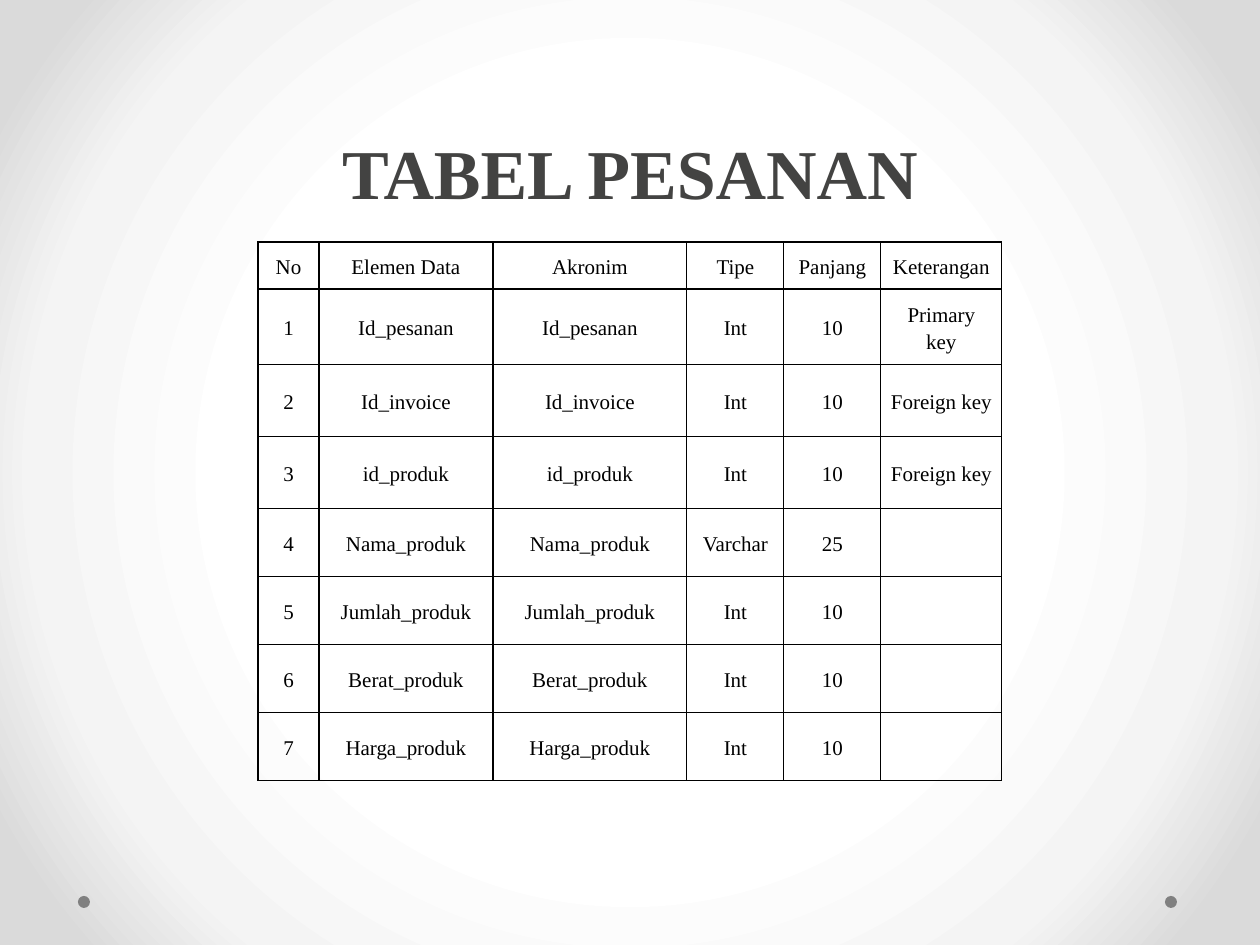
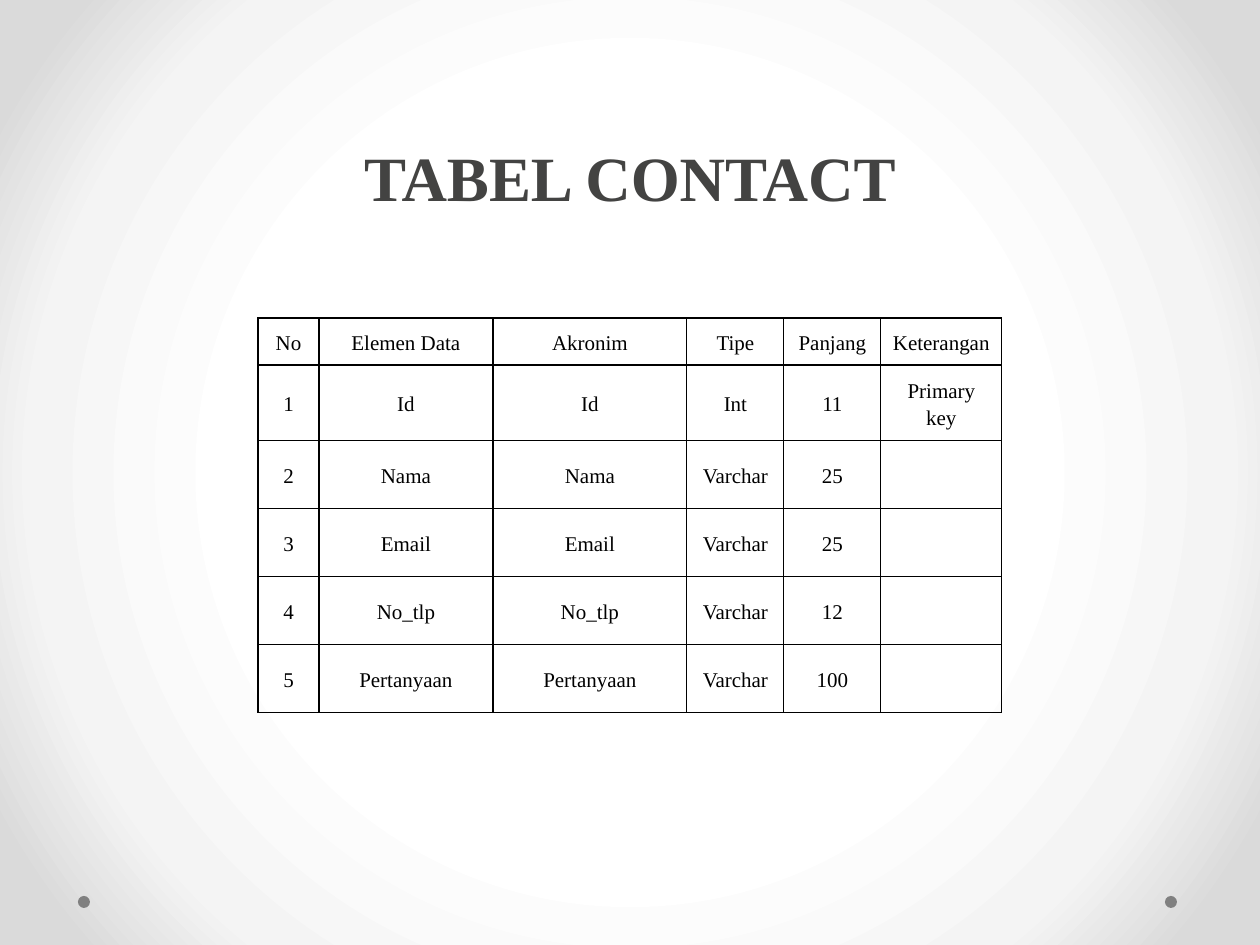
from pptx import Presentation
from pptx import util as u
from pptx.dml.color import RGBColor
from pptx.enum import shapes, text
from pptx.oxml import parse_xml
from pptx.oxml.ns import nsdecls

EMU_PER_PX = 914400 / 126
FONT = "Times New Roman"
COLOURS = {
    "title": "434342",
    "ink": "000000",
    "dot": "808080",
    "centre": "FFFFFF",
    "ring": "F4F4F4",
    "edge": "DADADA",
}
GRADIENT_STOPS = [(50, "centre"), (76, "ring"), (92, "edge")]
DOT_LEFTS = [1165, 78]
DOT_TOP, DOT_SIZE = 896, 12

HEADINGS = ["No", "Elemen Data", "Akronim", "Tipe", "Panjang", "Keterangan"]
COLUMN_WIDTHS = [61, 174, 194, 97, 97, 121]
TABLE_LEFT = 258
HEADER_HEIGHT, KEY_ROW_HEIGHT, ROW_HEIGHT = 45, 72, 68

# Each field: element name (also its acronym), type, length, remark
ORDER_FIELDS = [
    ("Id_pesanan", "Int", "10", "Primary key"),
    ("Id_invoice", "Int", "10", "Foreign key"),
    ("id_produk", "Int", "10", "Foreign key"),
    ("Nama_produk", "Varchar", "25", ""),
    ("Jumlah_produk", "Int", "10", ""),
    ("Berat_produk", "Int", "10", ""),
    ("Harga_produk", "Int", "10", ""),
]
CONTACT_FIELDS = [
    ("Id", "Int", "11", "Primary key"),
    ("Nama", "Varchar", "25", ""),
    ("Email", "Varchar", "25", ""),
    ("No_tlp", "Varchar", "12", ""),
    ("Pertanyaan", "Varchar", "100", ""),
]


def px(length):
    return u.Emu(round(length * EMU_PER_PX))


def colour(name):
    return RGBColor.from_string(COLOURS[name])


class Deck:
    """Holds the shared style and the slide being drawn."""

    def __init__(self):
        self.presentation = Presentation()
        self.presentation.slide_width = px(1260)
        self.presentation.slide_height = px(945)
        self.slide = None

    def new_slide(self):
        self.slide = self.presentation.slides.add_slide(self.presentation.slide_layouts[6])
        self.background()
        for left in DOT_LEFTS:
            self.dot(left)

    def background(self):
        stops = "".join(
            f'<a:gs pos="{percent * 1000}"><a:srgbClr val="{COLOURS[name]}"/></a:gs>'
            for percent, name in GRADIENT_STOPS
        )
        self.slide.element.cSld.insert(0, parse_xml(
            f'<p:bg {nsdecls("p", "a")}><p:bgPr><a:gradFill rotWithShape="1">'
            f'<a:gsLst>{stops}</a:gsLst><a:path path="circle">'
            '<a:fillToRect l="50000" t="50000" r="50000" b="50000"/></a:path>'
            '</a:gradFill><a:effectLst/></p:bgPr></p:bg>'
        ))

    def dot(self, left):
        shape = self.slide.shapes.add_shape(
            shapes.MSO_SHAPE.OVAL, px(left), px(DOT_TOP), px(DOT_SIZE), px(DOT_SIZE))
        shape.shadow.inherit = False
        shape.fill.solid()
        shape.fill.fore_color.rgb = colour("dot")
        shape.line.fill.background()

    def format_paragraph(self, paragraph, size, colour_name, line_spacing, bold=False):
        paragraph.alignment = text.PP_ALIGN.CENTER
        paragraph.line_spacing = line_spacing
        for run in paragraph.runs:
            run.font.name = FONT
            run.font.size = u.Pt(size)
            run.font.bold = bold
            run.font.color.rgb = colour(colour_name)

    def title(self, wording, size):
        frame = self.slide.shapes.add_textbox(px(63), px(0), px(1134), px(220)).text_frame
        frame.word_wrap = True
        frame.vertical_anchor = text.MSO_ANCHOR.BOTTOM
        frame.text = wording
        self.format_paragraph(frame.paragraphs[0], size, "title", u.Pt(58), bold=True)

    def field_table(self, top, fields):
        rows = [HEADINGS] + [
            [str(number), name, name, *details]
            for number, (name, *details) in enumerate(fields, 1)
        ]
        heights = [HEADER_HEIGHT] + [
            KEY_ROW_HEIGHT if remark else ROW_HEIGHT for *_, remark in fields
        ]
        table = self.slide.shapes.add_table(
            len(rows), len(HEADINGS), px(TABLE_LEFT), px(top),
            px(sum(COLUMN_WIDTHS)), px(sum(heights))).table
        table.first_row = table.horz_banding = False
        for column, width in zip(table.columns, COLUMN_WIDTHS):
            column.width = px(width)
        for row, height, wordings in zip(table.rows, heights, rows):
            row.height = px(height)
            for cell, wording in zip(row.cells, wordings):
                self.cell(cell, wording)

    def cell(self, cell, wording):
        cell.text = wording
        cell.vertical_anchor = text.MSO_ANCHOR.MIDDLE
        cell.margin_left = cell.margin_right = px(10)
        cell.margin_top = cell.margin_bottom = px(9)
        cell.fill.background()
        paragraph = cell.text_frame.paragraphs[0]
        self.format_paragraph(paragraph, 12, "ink", 1.15)
        paragraph.space_after = u.Pt(7.2)
        properties = cell._tc.get_or_add_tcPr()
        for index, side in enumerate("LRTB"):
            properties.insert(index, parse_xml(
                f'<a:ln{side} {nsdecls("a")} w="{u.Pt(0.75)}"><a:solidFill>'
                f'<a:srgbClr val="{COLOURS["ink"]}"/></a:solidFill></a:ln{side}>'
            ))


def main():
    deck = Deck()
    for wording, size, top, fields in [
        ("TABEL PESANAN", 40, 242, ORDER_FIELDS),
        ("TABEL CONTACT", 36, 318, CONTACT_FIELDS),
    ]:
        deck.new_slide()
        deck.title(wording, size)
        deck.field_table(top, fields)
    deck.presentation.save("out.pptx")


if __name__ == "__main__":
    main()
